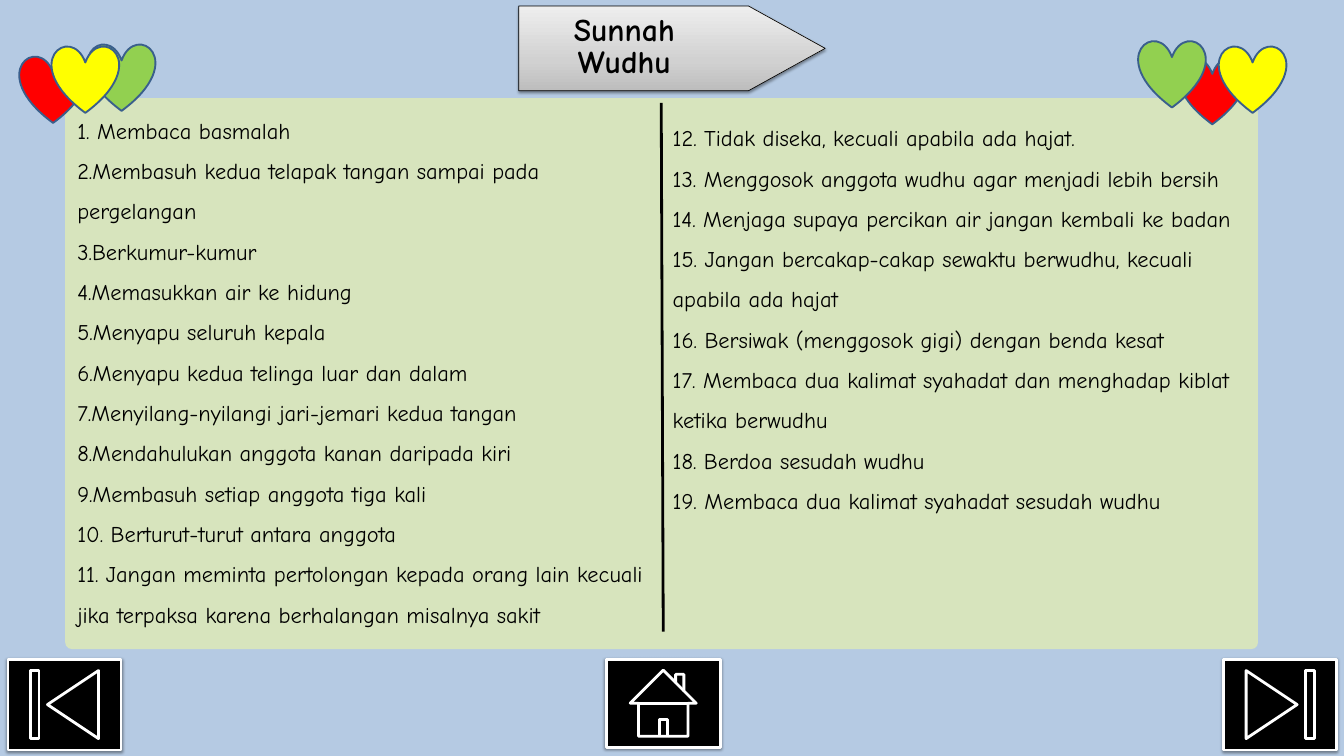
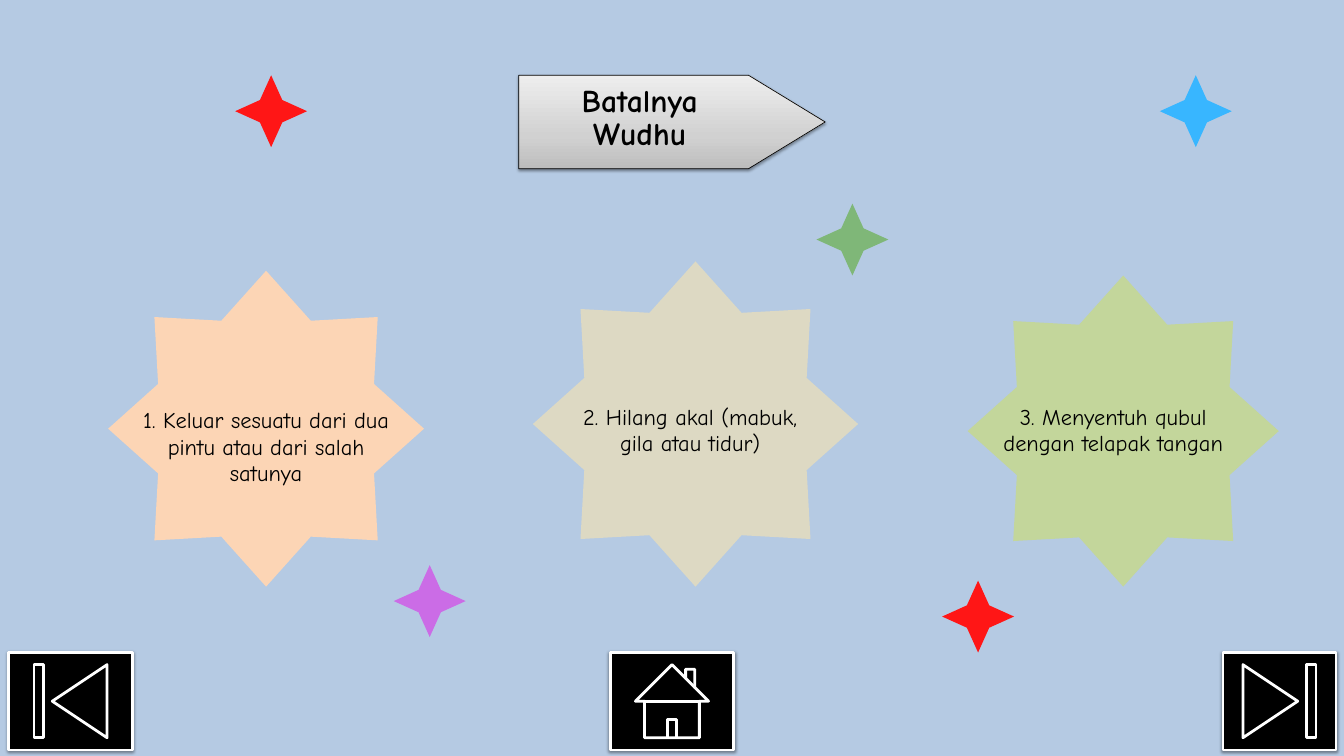
from lxml.etree import SubElement
from pptx import Presentation
from pptx.dml.color import RGBColor
from pptx.enum.shapes import MSO_CONNECTOR, MSO_SHAPE
from pptx.enum.text import MSO_AUTO_SIZE, PP_ALIGN
from pptx.oxml.ns import qn
from pptx.util import Inches, Pt

# Shared look
FONT = "Comic Neue"
BLACK = RGBColor(0x00, 0x00, 0x00)
WHITE = RGBColor(0xFF, 0xFF, 0xFF)
SKY = RGBColor(0xB5, 0xCA, 0xE3)
PANEL = RGBColor(0xD7, 0xE4, 0xBD)
HEART_EDGE = RGBColor(0x3A, 0x5F, 0x8C)
RED = RGBColor(0xFF, 0x00, 0x00)
GREEN = RGBColor(0x92, 0xD0, 0x50)
YELLOW = RGBColor(0xFF, 0xFF, 0x00)
SCARLET = RGBColor(0xFF, 0x16, 0x16)
BLUE = RGBColor(0x38, 0xB6, 0xFF)
PURPLE = RGBColor(0xCB, 0x6C, 0xE6)
SAGE = RGBColor(0x7F, 0xB7, 0x78)
PEACH = RGBColor(0xFC, 0xD5, 0xB5)
SAND = RGBColor(0xDD, 0xD9, 0xC3)
LIME = RGBColor(0xC3, 0xD6, 0x9B)
BANNER_STOPS = [(0, "BDBDBD"), (35, "D1D1D1"), (100, "EEEEEE")]
BANNER_LEFT, BANNER_WIDTH, BANNER_TIP = 7.72, 4.56, 1.14

# Slide 1: recommended acts, in two columns
SUNNAH_TITLE = ["Sunnah", "Wudhu"]
SUNNAH_LEFT = [
    "1. Membaca basmalah",
    "2.Membasuh kedua telapak tangan sampai pada pergelangan",
    "3.Berkumur-kumur",
    "4.Memasukkan air ke hidung",
    "5.Menyapu seluruh kepala",
    "6.Menyapu kedua telinga luar dan dalam",
    "7.Menyilang-nyilangi jari-jemari kedua tangan",
    "8.Mendahulukan anggota kanan daripada kiri",
    "9.Membasuh setiap anggota tiga kali",
    "10. Berturut-turut antara anggota",
    "11. Jangan meminta pertolongan kepada orang lain kecuali jika terpaksa "
    "karena berhalangan misalnya sakit",
]
SUNNAH_RIGHT = [
    "12. Tidak diseka, kecuali apabila ada hajat.",
    "13. Menggosok anggota wudhu agar menjadi lebih bersih",
    "14. Menjaga supaya percikan air jangan kembali ke badan",
    "15. Jangan bercakap-cakap sewaktu berwudhu, kecuali apabila ada hajat",
    "16. Bersiwak (menggosok gigi) dengan benda kesat",
    "17. Membaca dua kalimat syahadat dan menghadap kiblat ketika berwudhu",
    "18. Berdoa sesudah wudhu",
    "19. Membaca dua kalimat syahadat sesudah wudhu",
]
HEARTS = [  # left, top, colour
    (17.54, 0.85, RED), (16.94, 0.6, GREEN), (18.14, 0.68, YELLOW),
    (0.29, 0.83, RED), (1.31, 0.65, GREEN), (0.77, 0.68, YELLOW),
]

# Slide 2: what breaks wudhu
BATAL_TITLE = ["Batalnya", "Wudhu"]
BATAL = [  # star left, top, size, colour, text box, lines
    (1.61, 4.03, 4.7, PEACH, (1.96, 6.06, 4, 1.18),
     ["1. Keluar sesuatu dari dua pintu atau dari salah satunya"]),
    (7.93, 3.89, 4.84, SAND, (7.85, 6.01, 4.84, 0.79),
     ["2. Hilang akal (mabuk,", "gila atau tidur)"]),
    (14.4, 4.1, 4.63, LIME, (14.25, 6.01, 4.63, 0.79),
     ["3. Menyentuh qubul", "dengan telapak tangan"]),
]
SPARKLE_SIZE = 1.07
SPARKLES = [  # left, top, colour
    (3.5, 1.12, SCARLET), (17.26, 1.12, BLUE), (14.02, 8.64, SCARLET),
    (5.86, 8.41, PURPLE), (12.15, 3.03, SAGE),
]

# Navigation buttons: home, beginning, end
BUTTONS = [MSO_SHAPE.ACTION_BUTTON_HOME, MSO_SHAPE.ACTION_BUTTON_BEGINNING,
           MSO_SHAPE.ACTION_BUTTON_END]
SUNNAH_BUTTONS = [(9.02, 9.81, 1.7, 1.31), (0.12, 9.81, 1.68, 1.35),
                  (18.21, 9.81, 1.68, 1.35)]
BATAL_BUTTONS = [(9.08, 9.71, 1.84, 1.45), (0.13, 9.71, 1.84, 1.45),
                 (18.2, 9.71, 1.68, 1.45)]


def inches(box):
    return [Inches(length) for length in box]


def add_figure(slide, preset, box, fill=None, edge=None, edge_width=0, adjust=None):
    figure = slide.shapes.add_shape(preset, *inches(box))
    figure.shadow.inherit = False
    if adjust is not None:
        figure.adjustments[0] = adjust
    if fill is not None:
        figure.fill.solid()
        figure.fill.fore_color.rgb = fill
    if edge is None:
        figure.line.fill.background()
    else:
        figure.line.color.rgb = edge
        figure.line.width = Pt(edge_width)
    return figure


def add_drop_shadow(figure):
    effects = figure.element.spPr.find(qn("a:effectLst"))
    shadow = SubElement(effects, qn("a:outerShdw"), blurRad=str(Pt(3.1)),
                        dist=str(Pt(1.6)), dir="5400000", rotWithShape="0")
    tint = SubElement(shadow, qn("a:srgbClr"), val=str(BLACK))
    SubElement(tint, qn("a:alpha"), val="38000")


def add_lines(slide, box, lines, spacing, size=24, bold=False, align=PP_ALIGN.CENTER):
    frame = slide.shapes.add_textbox(*inches(box)).text_frame
    frame.word_wrap = True
    frame.auto_size = MSO_AUTO_SIZE.SHAPE_TO_FIT_TEXT
    frame.margin_left = frame.margin_right = frame.margin_top = frame.margin_bottom = 0
    for index, line in enumerate(lines):
        paragraph = frame.add_paragraph() if index else frame.paragraphs[0]
        paragraph.alignment = align
        paragraph.line_spacing = spacing
        run = paragraph.add_run()
        run.text = line
        run.font.name = FONT
        run.font.size = Pt(size)
        run.font.bold = bold
        run.font.color.rgb = BLACK


def add_banner(slide, top, height):
    banner = add_figure(slide, MSO_SHAPE.PENTAGON, (BANNER_LEFT, top, BANNER_WIDTH, height),
                        edge=BLACK, edge_width=0.75, adjust=BANNER_TIP / height)
    banner.fill.gradient()
    banner.fill.gradient_angle = 90
    stops = banner.element.spPr.find(qn("a:gradFill")).find(qn("a:gsLst"))
    for stop in list(stops):
        stops.remove(stop)
    for position, colour in BANNER_STOPS:
        stop = SubElement(stops, qn("a:gs"), pos=str(position * 1000))
        SubElement(stop, qn("a:srgbClr"), val=colour)
    add_drop_shadow(banner)


def add_title(slide, box, lines):
    add_lines(slide, box, lines, Pt(35), size=34, bold=True)


def add_buttons(slide, boxes):
    for preset, box in zip(BUTTONS, boxes):
        add_drop_shadow(add_figure(slide, preset, box, BLACK, WHITE, 3))


def add_slide(deck):
    slide = deck.slides.add_slide(deck.slide_layouts[6])
    slide.background.fill.solid()
    slide.background.fill.fore_color.rgb = SKY
    return slide


def build_sunnah(deck):
    slide = add_slide(deck)
    add_banner(slide, 0.09, 1.26)
    add_figure(slide, MSO_SHAPE.ROUNDED_RECTANGLE, (0.97, 1.46, 17.75, 8.2), PANEL,
               adjust=0.1 / 8.2)
    add_title(slide, (8.29, 0.22, 2, 0.98), SUNNAH_TITLE)

    # Divider between the columns
    divider = slide.shapes.add_connector(MSO_CONNECTOR.STRAIGHT,
                                         *inches((9.84, 1.53, 9.87, 9.4)))
    divider.line.color.rgb = BLACK
    divider.line.width = Pt(3)
    SubElement(divider.element.spPr, qn("a:effectLst"))

    add_lines(slide, (1.15, 1.54, 8.59, 8.42), SUNNAH_LEFT, 1.5, align=PP_ALIGN.LEFT)
    add_lines(slide, (10.01, 1.65, 8.65, 7.2), SUNNAH_RIGHT, 1.5, align=PP_ALIGN.LEFT)
    for left, top, colour in HEARTS:
        add_figure(slide, MSO_SHAPE.HEART, (left, top, 1, 1), colour, HEART_EDGE, 2)
    add_buttons(slide, SUNNAH_BUTTONS)


def build_batal(deck):
    slide = add_slide(deck)
    add_banner(slide, 1.12, 1.39)
    add_title(slide, (8.35, 1.28, 2.34, 0.98), BATAL_TITLE)
    for left, top, size, colour, text_box, lines in BATAL:
        add_figure(slide, MSO_SHAPE.STAR_8_POINT, (left, top, size, size), colour,
                   adjust=0.37)
        add_lines(slide, text_box, lines, Pt(28))
    for left, top, colour in SPARKLES:
        add_figure(slide, MSO_SHAPE.STAR_4_POINT, (left, top, SPARKLE_SIZE, SPARKLE_SIZE),
                   colour, adjust=0.22)
    add_buttons(slide, BATAL_BUTTONS)


def main():
    deck = Presentation()
    deck.slide_width = Inches(20)
    deck.slide_height = Inches(11.25)
    build_sunnah(deck)
    build_batal(deck)
    deck.save("out.pptx")


if __name__ == "__main__":
    main()
